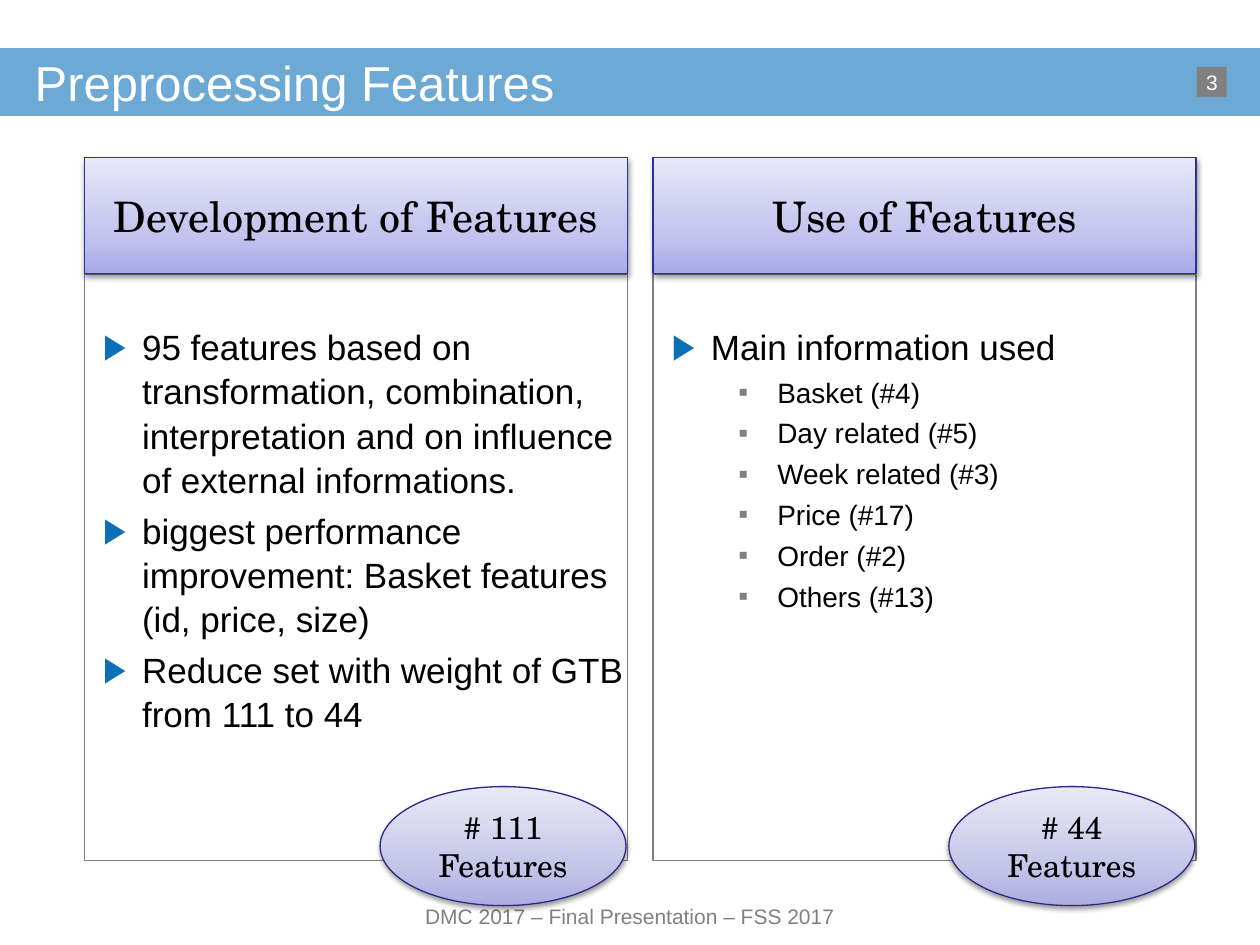
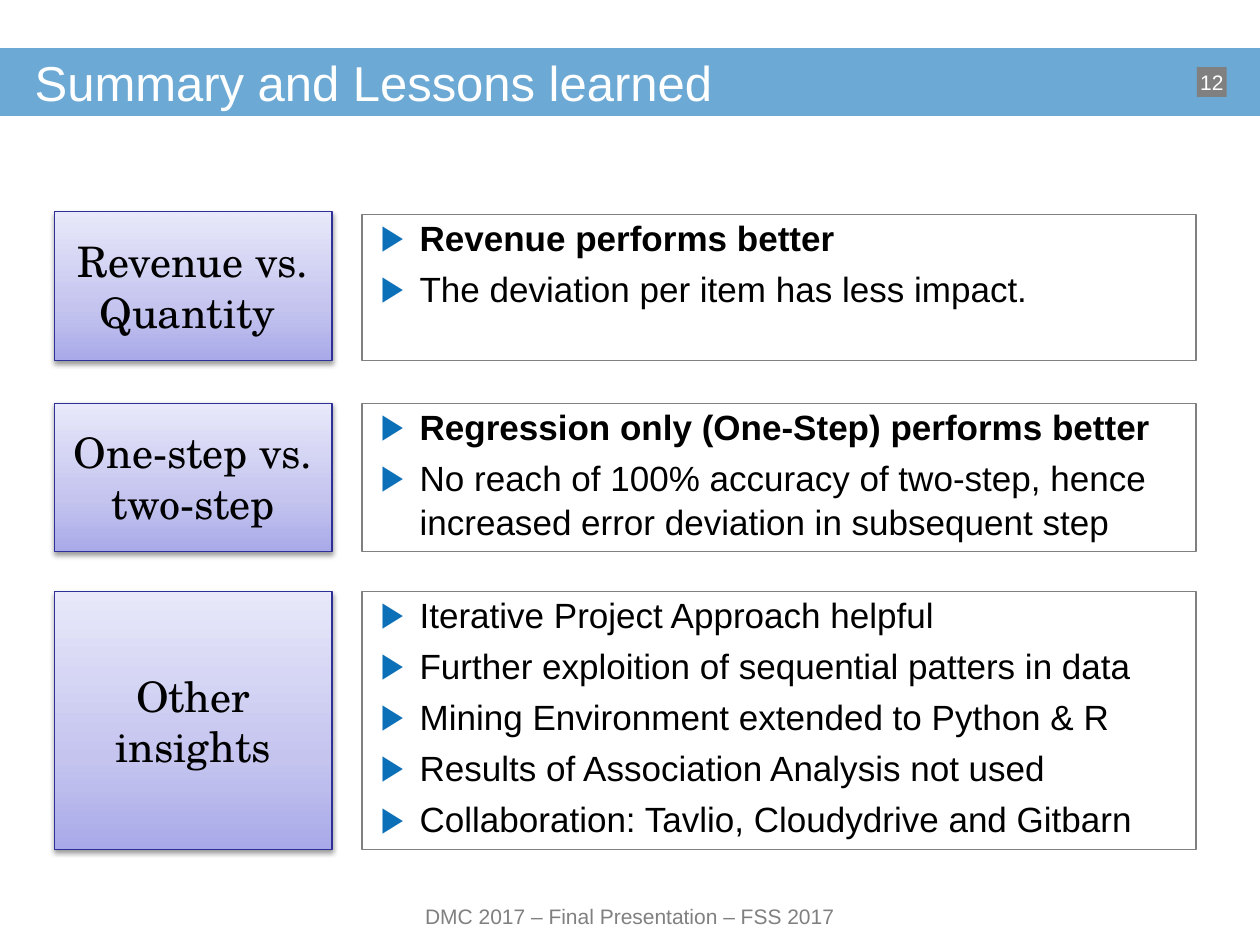
from dataclasses import dataclass

from pptx import Presentation
from pptx.dml.color import RGBColor
from pptx.enum.shapes import MSO_SHAPE
from pptx.enum.text import MSO_ANCHOR, MSO_AUTO_SIZE, PP_ALIGN
from pptx.oxml import parse_xml
from pptx.oxml.ns import nsdecls, qn
from pptx.util import Pt

BLUE = RGBColor(0x0B, 0x70, 0xB8)
GRAY = RGBColor(0x80, 0x80, 0x80)
WHITE = RGBColor(0xFF, 0xFF, 0xFF)
BLACK = RGBColor(0x00, 0x00, 0x00)
HEADING_LINE = RGBColor(0x2F, 0x2F, 0x98)
COUNT_LINE = RGBColor(0x2A, 0x2A, 0x89)

# Gradient colours from bottom to top
HEADING_FILL = (RGBColor(0xA9, 0xA9, 0xE9), RGBColor(0xC4, 0xC4, 0xEF), RGBColor(0xE8, 0xE8, 0xFA))
COUNT_FILL = (RGBColor(0xAD, 0xAD, 0xE1), RGBColor(0xC6, 0xC6, 0xE9), RGBColor(0xE9, 0xE9, 0xF7))
GRADIENT_STOPS = (0, 35, 100)

BODY_FONT = "Arial"
HEADING_FONT = "TeX Gyre Schola"
FOOTER = "DMC 2017 – Final Presentation – FSS 2017"


@dataclass(frozen=True)
class Box:
    left: float
    top: float
    width: float
    height: float

    def lengths(self) -> tuple:
        return Pt(self.left), Pt(self.top), Pt(self.width), Pt(self.height)


@dataclass(frozen=True)
class Item:
    text: str
    level: int = 0
    bold: bool = False


@dataclass(frozen=True)
class BulletStyle:
    symbol: str
    color: RGBColor
    size: float
    margin: float


@dataclass(frozen=True)
class Column:
    heading: str
    count: str
    items: tuple


@dataclass(frozen=True)
class Lesson:
    heading: str
    heading_top: float
    panel_top: float
    bottom: float
    items: tuple


BULLETS = (BulletStyle("▶", BLUE, 20, 33), BulletStyle("▪", GRAY, 16, 71))
HANGING = 22.3

BAND = Box(0, 27.5, 720, 38.7)
TITLE = Box(19.8, 27.5, 680, 38.7)
FOOTER_BOX = Box(190, 513.4, 340, 20.2)
PAGE_BOX = Box(684, 38.4, 17, 17)

COLUMNS = (
    Column("Development of Features", "# 111 Features", (
        Item("95 features based on transformation, combination, interpretation "
             "and on influence of external informations."),
        Item("biggest performance improvement: Basket features (id, price, size)"),
        Item("Reduce set with weight of GTB from 111 to 44"),
    )),
    Column("Use of Features", "# 44 Features", (
        Item("Main information used"),
        Item("Basket (#4)", 1),
        Item("Day related (#5)", 1),
        Item("Week related (#3)", 1),
        Item("Price (#17)", 1),
        Item("Order (#2)", 1),
        Item("Others (#13)", 1),
    )),
)

LESSONS = (
    Lesson("Revenue vs. Quantity ", 121, 122.5, 206, (
        Item("Revenue performs better", bold=True),
        Item("The deviation per item has less impact."),
    )),
    Lesson("One-step vs. two-step", 230.4, 230.4, 315.2, (
        Item("Regression only (One-Step) performs better", bold=True),
        Item("No reach of 100% accuracy of two-step, hence increased error "
             "deviation in subsequent step"),
    )),
    Lesson("Other insights", 338, 338, 485.5, (
        Item("Iterative Project Approach helpful"),
        Item("Further exploition of sequential patters in data"),
        Item("Mining Environment extended to Python & R"),
        Item("Results of Association Analysis not used"),
        Item("Collaboration: Tavlio, Cloudydrive and Gitbarn"),
    )),
)


def place(shape, box: Box) -> None:
    shape.left, shape.top, shape.width, shape.height = box.lengths()


def set_frame(shape, anchor: MSO_ANCHOR, top_inset: float = 0, wrap: bool = True):
    """Prepare a text frame without side insets."""
    frame = shape.text_frame
    frame.auto_size = MSO_AUTO_SIZE.NONE
    frame.word_wrap = wrap
    frame.vertical_anchor = anchor
    frame.margin_left = frame.margin_right = frame.margin_bottom = 0
    frame.margin_top = Pt(top_inset)
    return frame


def set_font(paragraph, name: str, size: float, color: RGBColor, bold: bool = False) -> None:
    font = paragraph.font
    font.name, font.size, font.bold = name, Pt(size), bold
    font.color.rgb = color


def write_line(frame, text: str, alignment: PP_ALIGN, name: str, size: float, color: RGBColor) -> None:
    paragraph = frame.paragraphs[0]
    paragraph.text = text
    paragraph.alignment = alignment
    set_font(paragraph, name, size, color)


def add_plain_shape(slide, kind: MSO_SHAPE, box: Box, color: RGBColor):
    shape = slide.shapes.add_shape(kind, *box.lengths())
    shape.shadow.inherit = False
    shape.fill.solid()
    shape.fill.fore_color.rgb = color
    shape.line.fill.background()
    return shape


def add_gradient_shape(slide, kind: MSO_SHAPE, box: Box, text: str, size: float,
                       colors: tuple, line_color: RGBColor) -> None:
    shape = add_plain_shape(slide, kind, box, WHITE)
    shape.line.color.rgb = line_color
    shape.line.width = Pt(0.75)
    # Gradient and soft shadow need XML
    properties = shape.element.spPr
    stops = "".join(
        f'<a:gs pos="{stop * 1000}"><a:srgbClr val="{color}"/></a:gs>'
        for stop, color in zip(GRADIENT_STOPS, colors))
    gradient = parse_xml(
        f'<a:gradFill {nsdecls("a")} rotWithShape="1"><a:gsLst>{stops}</a:gsLst>'
        '<a:lin ang="16200000" scaled="0"/></a:gradFill>')
    properties.replace(properties.find(qn("a:solidFill")), gradient)
    properties.find(qn("a:effectLst")).append(parse_xml(
        f'<a:outerShdw {nsdecls("a")} blurRad="{Pt(3.1)}" dist="{Pt(1.6)}" dir="5400000" '
        'rotWithShape="0"><a:srgbClr val="000000"><a:alpha val="38000"/></a:srgbClr></a:outerShdw>'))
    frame = shape.text_frame
    frame.word_wrap = True
    frame.vertical_anchor = MSO_ANCHOR.MIDDLE
    write_line(frame, text, PP_ALIGN.CENTER, HEADING_FONT, size, BLACK)


def set_bullet(paragraph, style: BulletStyle) -> None:
    properties = paragraph._p.get_or_add_pPr()
    properties.set("marL", str(Pt(style.margin)))
    properties.set("indent", str(-Pt(HANGING)))
    for xml in (f'<a:buClr {nsdecls("a")}><a:srgbClr val="{style.color}"/></a:buClr>',
                f'<a:buFont {nsdecls("a")} typeface="{BODY_FONT}"/>',
                f'<a:buChar {nsdecls("a")} char="{style.symbol}"/>'):
        properties.append(parse_xml(xml))


def fill_panel(panel, box: Box, items: tuple, top_inset: float = 0) -> None:
    """Turn a body placeholder or text box into an outlined bullet list."""
    place(panel, box)
    panel.line.color.rgb = GRAY
    panel.line.width = Pt(0.75)
    frame = set_frame(panel, MSO_ANCHOR.TOP, top_inset)
    for index, item in enumerate(items):
        paragraph = frame.add_paragraph() if index else frame.paragraphs[0]
        style = BULLETS[item.level]
        paragraph.text = item.text
        paragraph.level = item.level
        paragraph.alignment = PP_ALIGN.LEFT
        paragraph.line_spacing = 1.05
        paragraph.space_before = Pt(style.size * 0.2 if index else 0)
        set_bullet(paragraph, style)
        set_font(paragraph, BODY_FONT, style.size, BLACK, item.bold)


def add_page(presentation, title: str, number: int):
    """Add a slide with title, footer and page number."""
    slide = presentation.slides.add_slide(presentation.slide_layouts.get_by_name("Two Content"))
    place(slide.shapes.title, TITLE)
    frame = set_frame(slide.shapes.title, MSO_ANCHOR.MIDDLE)
    write_line(frame, title, PP_ALIGN.LEFT, BODY_FONT, 28, WHITE)

    footer = slide.shapes.add_textbox(*FOOTER_BOX.lengths())
    write_line(set_frame(footer, MSO_ANCHOR.MIDDLE), FOOTER, PP_ALIGN.CENTER, BODY_FONT, 12, GRAY)

    badge = add_plain_shape(slide, MSO_SHAPE.RECTANGLE, PAGE_BOX, GRAY)
    frame = set_frame(badge, MSO_ANCHOR.MIDDLE, wrap=False)
    write_line(frame, str(number), PP_ALIGN.CENTER, BODY_FONT, 12, WHITE)
    return slide


def move_band_to_master(presentation, slide) -> None:
    """Draw the title band once, behind everything, on the slide master."""
    band = add_plain_shape(slide, MSO_SHAPE.RECTANGLE, BAND, BLUE)
    color = band.element.spPr.find(qn("a:solidFill"))[0]
    color.append(parse_xml(f'<a:alpha {nsdecls("a")} val="60000"/>'))
    presentation.slide_master.shapes.element.insert(2, band.element)


def build_features(presentation):
    slide = add_page(presentation, "Preprocessing Features", 3)
    bodies = list(slide.placeholders)[1:]
    for index, (column, body) in enumerate(zip(COLUMNS, bodies)):
        left = 48.2 + 325 * index
        fill_panel(body, Box(left, 157, 310.3, 334.8), column.items, top_inset=28)
        add_gradient_shape(slide, MSO_SHAPE.RECTANGLE, Box(left, 90, 310.3, 66.5),
                           column.heading, 24, HEADING_FILL, HEADING_LINE)
        add_gradient_shape(slide, MSO_SHAPE.OVAL, Box(left + 169, 449.5, 140.5, 68),
                           column.count, 18, COUNT_FILL, COUNT_LINE)
    return slide


def build_lessons(presentation) -> None:
    slide = add_page(presentation, "Summary and Lessons learned", 12)
    # Two body placeholders and one text box hold the three lists
    panels = list(slide.placeholders)[1:]
    panels.append(slide.shapes.add_textbox(0, 0, 0, 0))
    for lesson, panel in zip(LESSONS, panels):
        fill_panel(panel, Box(206.8, lesson.panel_top, 476.6, lesson.bottom - lesson.panel_top),
                   lesson.items)
        add_gradient_shape(slide, MSO_SHAPE.RECTANGLE,
                           Box(31, lesson.heading_top, 158.8, lesson.bottom - lesson.heading_top),
                           lesson.heading, 24, HEADING_FILL, HEADING_LINE)


def main() -> None:
    presentation = Presentation()
    presentation.slide_width, presentation.slide_height = Pt(720), Pt(540)
    features = build_features(presentation)
    move_band_to_master(presentation, features)
    build_lessons(presentation)
    presentation.save("out.pptx")


if __name__ == "__main__":
    main()
